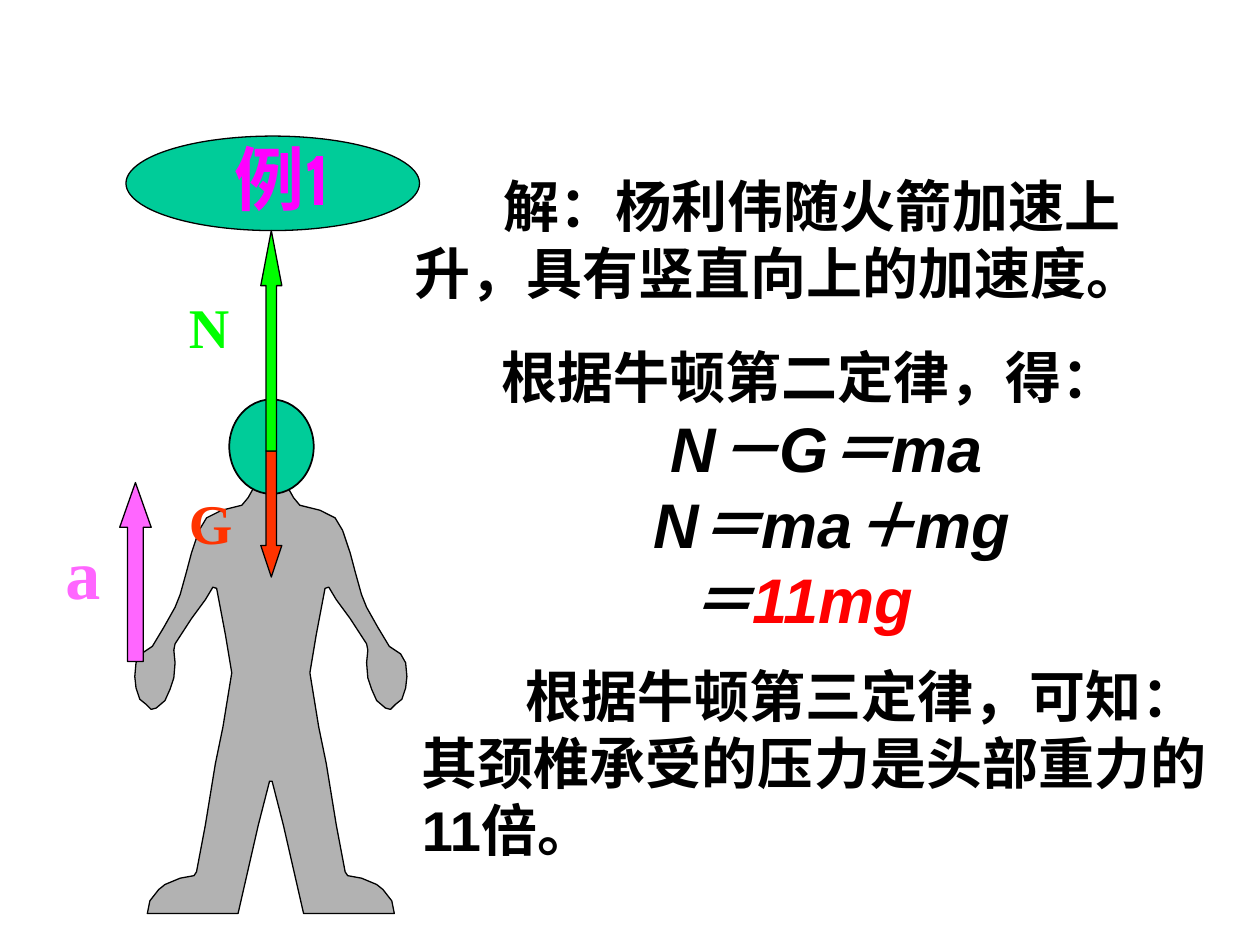
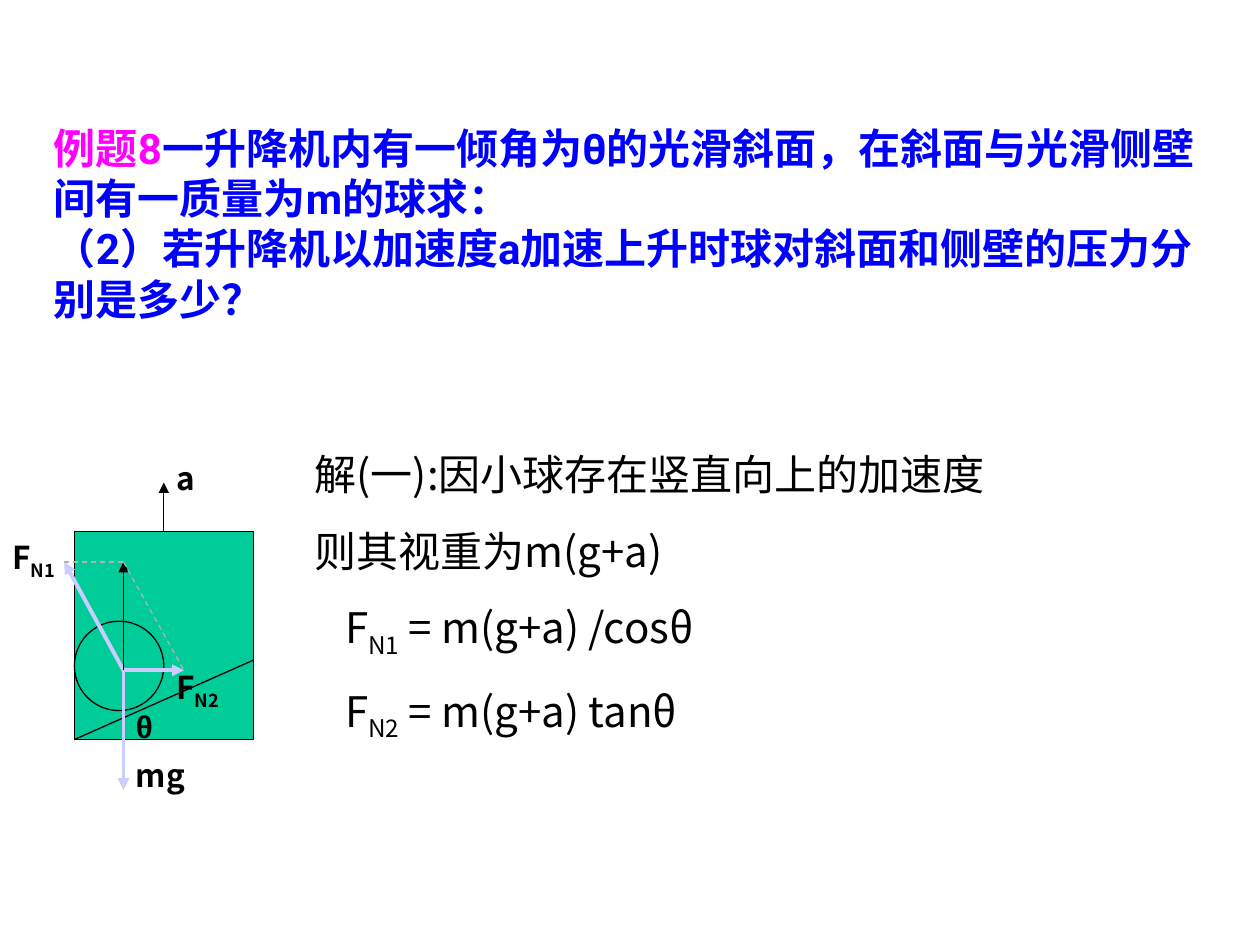
import dataclasses

import pptx
import pptx.dml.color
import pptx.enum.dml
import pptx.enum.shapes
import pptx.enum.text
import pptx.oxml.ns
import pptx.util
from lxml import etree

CELL = pptx.util.Inches(0.1)
COLS, ROWS = 100, 75
SHAPE = pptx.enum.shapes.MSO_SHAPE
CENTER = pptx.enum.text.PP_ALIGN.CENTER


@dataclasses.dataclass(frozen=True)
class Theme:
    """Colours, fonts and type sizes shared by the slides."""
    black: str = "000000"
    green: str = "00CC99"
    gray: str = "B2B2B2"
    lavender: str = "CCCCFF"
    magenta: str = "FF00FF"
    pink: str = "FF66FF"
    orange: str = "FF3300"
    lime: str = "00FF00"
    red: str = "FF0000"
    blue: str = "0000FF"
    sans: str = "Arial"
    serif: str = "Times New Roman"
    badge: str = "Cabin"
    problem: str = "Roboto"
    cjk: str = "Noto Sans CJK SC"
    big: int = 40
    formula: int = 36
    body: int = 32
    text: int = 24
    label: int = 18
    thin: float = 0.75
    thick: float = 2.25


T = Theme()


@dataclasses.dataclass(frozen=True)
class Style:
    """Look of one run of text."""
    font: str = T.sans
    size: int = T.body
    color: str = T.black
    bold: bool = True
    italic: bool = False
    sub: bool = False


@dataclasses.dataclass(frozen=True)
class Para:
    """Runs of (text, style) with paragraph settings; indents are in cells."""
    runs: tuple
    align: object = None
    left: float = 0
    first: float = 0
    before: float = 0


def cells(*values):
    """Turn grid cells into lengths."""
    return [pptx.util.Emu(round(v * CELL)) for v in values]


def rgb(color):
    """Return a colour object for a hex string."""
    return pptx.dml.color.RGBColor.from_string(color)


def paint(sp, fill, width=T.thin):
    """Give a shape a flat fill and a black outline without shadow."""
    sp.shadow.inherit = False
    sp.fill.solid()
    sp.fill.fore_color.rgb = rgb(fill)
    sp.line.color.rgb = rgb(T.black)
    sp.line.width = pptx.util.Pt(width)


def add_shape(s, kind, box, fill, width=T.thin):
    """Add a painted preset shape."""
    sp = s.shapes.add_shape(kind, *cells(*box))
    paint(sp, fill, width)
    return sp


def add_arrow(s, kind, box, fill):
    """Add a block arrow whose head is 2.6 or fewer widths long."""
    x, y, w, h = box
    sp = add_shape(s, kind, box, fill)
    sp.adjustments[0] = 0.5
    sp.adjustments[1] = h / w / 4
    return sp


def add_line(s, start, end, color=T.black, width=T.thin, arrow=False, dash=False):
    """Add a straight line, optionally dashed or with an arrowhead."""
    line = s.shapes.add_connector(
        pptx.enum.shapes.MSO_CONNECTOR.STRAIGHT, *cells(*start, *end))
    line.line.color.rgb = rgb(color)
    line.line.width = pptx.util.Pt(width)
    if dash:
        line.line.dash_style = pptx.enum.dml.MSO_LINE.DASH
    if arrow:
        ln = line.line._get_or_add_ln()
        etree.SubElement(ln, pptx.oxml.ns.qn("a:tailEnd"), type="triangle")
    etree.SubElement(line._element.spPr, pptx.oxml.ns.qn("a:effectLst"))


def format_run(r, style):
    """Apply a style to a run."""
    r.font.name = style.font
    r.font.size = pptx.util.Pt(style.size)
    r.font.bold = style.bold
    r.font.italic = style.italic
    r.font.color.rgb = rgb(style.color)
    rPr = r._r.get_or_add_rPr()
    etree.SubElement(rPr, pptx.oxml.ns.qn("a:ea"), typeface=T.cjk)
    if style.sub:
        rPr.set("baseline", "-25000")


def add_text(s, box, *paras, middle=False):
    """Add a wrapping text box made of paragraphs."""
    tf = s.shapes.add_textbox(*cells(*box)).text_frame
    tf.word_wrap = True
    if middle:
        tf.vertical_anchor = pptx.enum.text.MSO_ANCHOR.MIDDLE
    for i, para in enumerate(paras):
        p = tf.add_paragraph() if i else tf.paragraphs[0]
        p.alignment = para.align
        pPr = p._p.get_or_add_pPr()
        left, first = cells(para.left, para.first)
        pPr.set("marL", str(left))
        pPr.set("indent", str(first))
        if i and para.before:
            p.space_before = pptx.util.Pt(para.before)
        for text, style in para.runs:
            r = p.add_run()
            r.text = text
            format_run(r, style)


def add_label(s, box, text, style, sub=""):
    """Add a one-line label with an optional subscript."""
    add_text(s, box, Para(with_sub(text, sub, "", style)))


def with_sub(text, sub, rest, style):
    """Return runs for text, subscript and the rest, leaving out empty ones."""
    low = dataclasses.replace(style, sub=True)
    return tuple(r for r in ((text, style), (sub, low), (rest, style)) if r[0])


def add_body(s, axis, half):
    """Draw a figure from its right half, mirrored about a vertical axis."""
    outline = half + [(2 * axis - x, y) for x, y in reversed(half)]
    points = [(round(x * 10), round(y * 10)) for x, y in outline]
    fb = s.shapes.build_freeform(*points[0], scale=CELL / 10)
    fb.add_line_segments(points[1:], close=True)
    paint(fb.convert_to_shape(), T.gray)


BODY_HALF = [
    (22.8, 38.6), (23.3, 39.5), (23.8, 40.1), (25.4, 40.5), (26.6, 41.1),
    (27.2, 42.1), (27.8, 43.9), (28.2, 45.4), (28.7, 47.2), (29.1, 48.2),
    (30, 49.8), (30.9, 51.3), (31.8, 51.9), (32.2, 52.6), (32.3, 53.7),
    (32.2, 54.6), (31.9, 55.5), (31.4, 55.9), (31, 56.3), (30.6, 56.2),
    (29.9, 55.6), (29.5, 54.7), (29.2, 53.8), (29.1, 52.6), (29.2, 51.6),
    (29.1, 51.1), (27.8, 49.1), (26.7, 47.6), (26.1, 46.6), (25.8, 46.7),
    (25.1, 50.4), (24.6, 53.4), (25.3, 57.7), (25.9, 60.6), (26.7, 65.5),
    (27.4, 69.2), (27.6, 69.5), (28.7, 69.7), (29.9, 70.2), (30.4, 70.6),
    (31.1, 71.5), (31.3, 72.5), (24.1, 72.5), (22.5, 65.5), (21.55, 62),
]


def rocket_slide(s):
    """Forces on an astronaut in an accelerating rocket."""
    body = Style()
    formula = Style(size=T.formula, italic=True)
    result = dataclasses.replace(formula, color=T.red)
    add_shape(s, SHAPE.OVAL, (10, 10.8, 23.3, 7.5), T.green)
    add_text(s, (13.3, 10.2, 18.3, 7.7),
             Para((("例1", Style(T.badge, T.big, T.magenta)),), CENTER), middle=True)
    add_text(s, (31.9, 13.1, 61.4, 11.7),
             Para((("解：", Style(T.serif)),
                   ("杨利伟随火箭加速上升，具有竖直向上的加速度。", body)), first=7.1))
    add_body(s, 21.5, BODY_HALF)
    add_shape(s, SHAPE.OVAL, (18.2, 31.7, 6.7, 7.5), T.green, 1)
    add_arrow(s, SHAPE.DOWN_ARROW, (20.7, 35.8, 1.67, 10), T.orange)
    add_label(s, (14, 38.3, 5, 6.4), "G", Style(T.serif, T.body, T.orange))
    add_arrow(s, SHAPE.UP_ARROW, (20.7, 18.3, 1.67, 17.5), T.lime)
    add_label(s, (14, 22.7, 5.8, 6.4), "N", Style(T.serif, T.body, T.lime))
    add_arrow(s, SHAPE.UP_ARROW, (9.5, 38.3, 2.5, 14.2), T.pink)
    add_label(s, (4.2, 41.5, 5.8, 7.7), "a", Style(T.serif, T.big, T.pink))
    add_text(s, (32.7, 26.7, 59.8, 29.7),
             Para((("根据牛顿第二定律，得：", body),), first=6.1),
             Para((("N－G＝ma", formula),), CENTER, left=6),
             Para((("N＝ma＋mg", formula),), CENTER, left=6.8),
             Para((("＝", formula), ("11mg", result)), CENTER, left=2))
    add_text(s, (32.5, 52, 65.5, 17),
             Para((("根据牛顿第三定律，可知： 其颈椎承受的压力是头部重力的11倍。", body),),
                  first=8.2), middle=True)


def lift_slide(s):
    """Ball on a smooth incline in an accelerating lift."""
    title = Style(T.problem, T.text, T.blue)
    label = Style(T.cjk, T.label)
    text = Style(T.cjk, T.text, bold=False)
    ball, up, wall, weight = (9.8, 53.2), (9.8, 44.6), (14.6, 53.2), (9.8, 62.7)
    incline = (5.1, 44.6)
    add_text(s, (3.3, 9.2, 92.9, 17),
             Para((("例题8", dataclasses.replace(title, color=T.magenta)),
                   ("一升降机内有一倾角为θ的光滑斜面，在斜面与光滑侧壁间有一质量为m的球求：", title))),
             Para((("（2）若升降机以加速度a加速上升时球对斜面和侧壁的压力分别是多少？", title),)))
    add_shape(s, SHAPE.RECTANGLE, (5.9, 42.2, 14.2, 16.5), T.green)
    add_line(s, (5.9, 58.7), (20.1, 52.4))
    add_shape(s, SHAPE.OVAL, (5.9, 49.3, 7.1, 7.1), T.green)
    add_line(s, (13, 42.2), (13, 38.3), arrow=True)
    add_label(s, (9.8, 55.6, 6.3, 4), "θ", Style(size=T.label))
    add_label(s, (13, 35.9, 3.9, 4), "a", label)
    for tip in (weight, wall, incline):
        add_line(s, ball, tip, T.lavender, T.thick, arrow=True)
    add_line(s, ball, up, arrow=True)
    for corner in (incline, wall):
        add_line(s, up, corner, T.gray, dash=True)
    add_label(s, (9.8, 59.5, 7.1, 4), "mg", label)
    add_label(s, (0, 42.2, 7.1, 4.4), "F", label, "N1")
    add_label(s, (13, 52.5, 7.1, 4.4), "F", label, "N2")
    add_text(s, (24, 35.1, 72.4, 24.4),
             Para((("解(一):因小球存在竖直向上的加速度", text),)),
             Para((("则其视重为m(g+a)", text),), before=15),
             Para(with_sub("F", "N1", " = m(g+a) /cosθ", text), left=2.4, before=15),
             Para(with_sub("F", "N2", " = m(g+a) tanθ", text), left=2.4, before=15))


def main():
    """Build and save both slides."""
    prs = pptx.Presentation()
    prs.slide_width, prs.slide_height = cells(COLS, ROWS)
    for build in (rocket_slide, lift_slide):
        build(prs.slides.add_slide(prs.slide_layouts[6]))
    prs.save("out.pptx")


if __name__ == "__main__":
    main()
